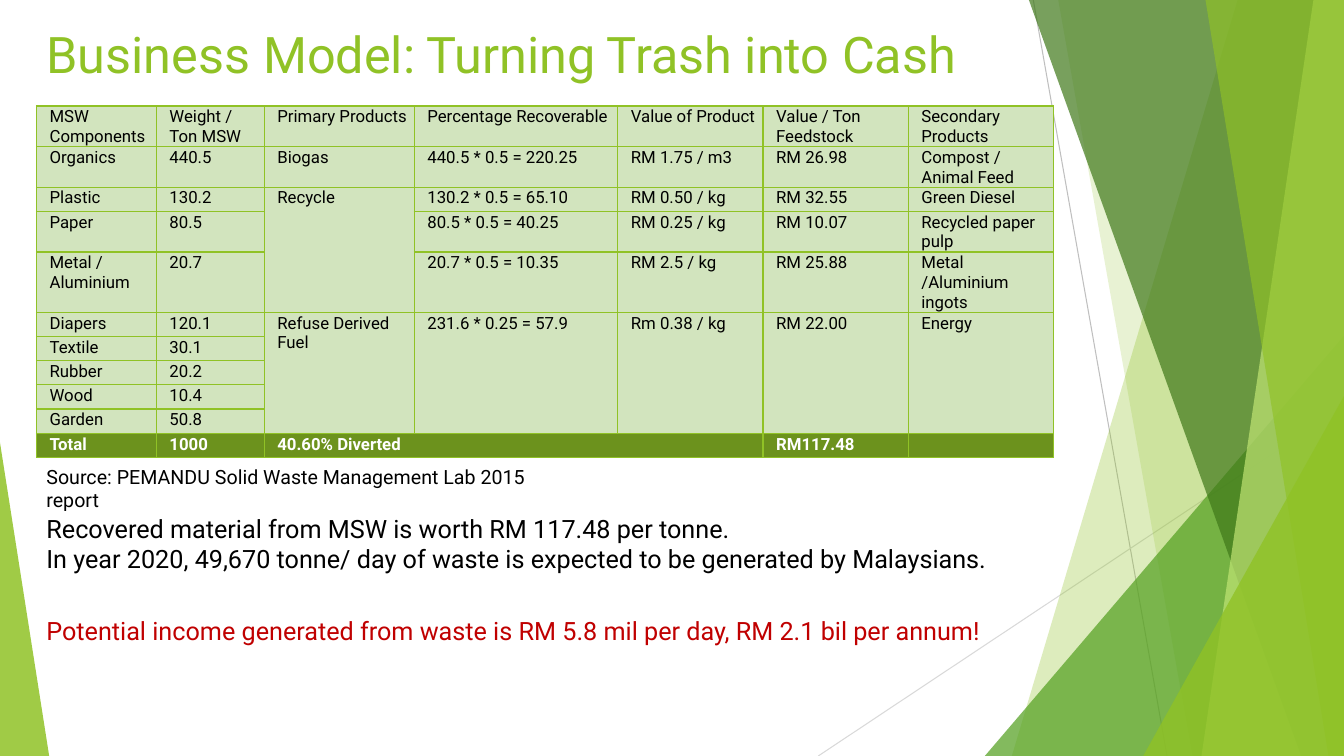
"""Builds the slide on the business model of turning trash into cash."""

from dataclasses import dataclass
from typing import Any

from lxml.etree import SubElement
from pptx import Presentation
from pptx.dml.color import RGBColor as Rgb
from pptx.enum.shapes import MSO_CONNECTOR as Connector, MSO_SHAPE as Preset
from pptx.enum.text import MSO_ANCHOR as Anchor, MSO_AUTO_SIZE as AutoSize, PP_ALIGN as Align
from pptx.oxml.ns import qn
from pptx.util import Cm, Pt

PAGE_WIDTH, PAGE_HEIGHT = 33.87, 19.05


@dataclass(frozen=True)
class Theme:
    font: str = "Roboto"
    green: str = "90C226"
    leaf: str = "54A021"
    forest: str = "3F7819"
    lime: str = "C0E474"
    pale: str = "D2E4BE"
    total: str = "6C921D"
    black: str = "000000"
    white: str = "FFFFFF"
    red: str = "C00000"
    grey: str = "BFBFBF"
    light_grey: str = "D9D9D9"
    title_size: int = 36
    body_size: int = 18
    source_size: int = 14
    table_size: int = 12


THEME = Theme()


@dataclass(frozen=True)
class Ray:
    start: tuple[float, float]
    end: tuple[float, float]
    color: str


@dataclass(frozen=True)
class Facet:
    """A band from a slanted left side to the right edge of the page."""

    top_left: float
    bottom_left: float
    color: str
    opacity: int


@dataclass(frozen=True)
class Peak:
    """A triangle that stands on the bottom edge of the page."""

    left: float
    width: float
    height: float
    apex: float
    color: str
    opacity: int


@dataclass(frozen=True)
class Note:
    top: float
    width: float
    height: float
    lines: tuple[str, ...]
    size: int
    color: str


@dataclass(frozen=True)
class Span:
    first: tuple[int, int]
    last: tuple[int, int]


RAYS = (
    Ray((26.04, 0), (29.41, PAGE_HEIGHT), THEME.grey),
    Ray((PAGE_WIDTH, 10.24), (20.62, PAGE_HEIGHT), THEME.light_grey),
)
DECOR = (
    Facet(31.19, 25.5, THEME.green, 30),
    Facet(26.67, 30.05, THEME.green, 20),
    Peak(24.82, 9.05, 10.59, 1, THEME.leaf, 72),
    Facet(25.93, 32.79, THEME.forest, 70),
    Facet(33.1, 30.28, THEME.lime, 70),
    Facet(30.38, 33.48, THEME.green, 65),
    Peak(28.81, 5.06, 9.07, 1, THEME.green, 80),
    Peak(0, 1.24, 7.9, 0, THEME.green, 85),
)
NOTES = (
    Note(11.58, 13.84, 0.86, ("Source: PEMANDU Solid Waste Management Lab 2015 report",),
         THEME.source_size, THEME.black),
    Note(12.8, 25.37, 2.57,
         ("Recovered material from MSW is worth RM 117.48 per tonne.",
          "In year 2020, 49,670 tonne/ day of waste is expected to be generated by Malaysians."),
         THEME.body_size, THEME.black),
    Note(15.37, 25.37, 1.02,
         ("Potential income generated from waste is RM 5.8 mil per day, RM 2.1 bil per annum!",),
         THEME.body_size, THEME.red),
)
ROWS = (
    ("MSW Components", "Weight / Ton MSW", "Primary Products", "Percentage Recoverable",
     "Value of Product", "Value / Ton Feedstock", "Secondary Products"),
    ("Organics", "440.5", "Biogas", "440.5 * 0.5 = 220.25", "RM 1.75 / m3", "RM 26.98",
     "Compost / Animal Feed"),
    ("Plastic", "130.2", "Recycle", "130.2 * 0.5 = 65.10", "RM 0.50 / kg", "RM 32.55",
     "Green Diesel"),
    ("Paper", "80.5", "", "80.5 * 0.5 = 40.25", "RM 0.25 / kg", "RM 10.07",
     "Recycled paper pulp"),
    ("Metal / Aluminium", "20.7", "", "20.7 * 0.5 = 10.35", "RM 2.5 / kg", "RM 25.88",
     "Metal /Aluminium ingots"),
    ("Diapers", "120.1", "Refuse Derived Fuel", "231.6 * 0.25 = 57.9", "Rm 0.38 / kg",
     "RM 22.00", "Energy"),
    ("Textile", "30.1"),
    ("Rubber", "20.2"),
    ("Wood", "10.4"),
    ("Garden", "50.8"),
    ("Total", "1000", "40.60% Diverted", "", "", "RM117.48"),
)
COLUMN_WIDTHS = (3.02, 2.72, 3.78, 5.13, 3.66, 3.66, 3.66)
ROW_HEIGHTS = (0.89, 0.89, 0.61, 0.89, 1.35) + (0.61,) * 6
SPANS = (Span((2, 2), (4, 2)), Span((10, 2), (10, 4)),
         *(Span((5, column), (9, column)) for column in range(2, 7)))


def assign(target: Any, values: dict[str, Any]) -> None:
    for name, value in values.items():
        setattr(target, name, value)


def write(para: Any, text: str, size: int, color: str, bold: bool = False) -> None:
    span = para.add_run()
    span.text = text
    assign(span.font, {"name": THEME.font, "size": Pt(size), "bold": bold})
    span.font.color.rgb = Rgb.from_string(color)


def draw_ray(page: Any, ray: Ray) -> None:
    line = page.shapes.add_connector(Connector.STRAIGHT, *map(Cm, ray.start + ray.end))
    line.line.width = Pt(0.75)
    line.line.color.rgb = Rgb.from_string(ray.color)
    SubElement(line.element.spPr, qn("a:effectLst"))


def draw_decor(page: Any, item: Facet | Peak) -> None:
    if isinstance(item, Facet):
        outline = page.shapes.build_freeform(Cm(item.top_left), 0)
        corners = ((PAGE_WIDTH, 0), (PAGE_WIDTH, PAGE_HEIGHT), (item.bottom_left, PAGE_HEIGHT))
        outline.add_line_segments([(Cm(x), Cm(y)) for x, y in corners], close=True)
        shape = outline.convert_to_shape()
    else:
        shape = page.shapes.add_shape(Preset.ISOSCELES_TRIANGLE, Cm(item.left),
                                      Cm(PAGE_HEIGHT - item.height), Cm(item.width), Cm(item.height))
        shape.adjustments[0] = item.apex
    shape.shadow.inherit = False
    shape.line.fill.background()
    shape.fill.solid()
    shape.fill.fore_color.rgb = Rgb.from_string(item.color)
    color = shape.element.spPr.find(qn("a:solidFill"))[0]
    SubElement(color, qn("a:alpha"), val=str(item.opacity * 1000))


def add_borders(cell: Any) -> None:
    properties = cell._tc.get_or_add_tcPr()
    for index, side in enumerate(("lnL", "lnR", "lnT", "lnB")):
        border = SubElement(properties, qn(f"a:{side}"), w=str(Pt(1)))
        fill = SubElement(border, qn("a:solidFill"))
        SubElement(fill, qn("a:srgbClr"), val=THEME.green)
        properties.insert(index, border)


def format_cell(cell: Any, text: str, is_total: bool) -> None:
    assign(cell, {"margin_left": Cm(0.03), "margin_right": Cm(0.03), "margin_top": Cm(0.03),
                  "margin_bottom": 0, "vertical_anchor": Anchor.TOP})
    cell.fill.solid()
    cell.fill.fore_color.rgb = Rgb.from_string(THEME.total if is_total else THEME.pale)
    add_borders(cell)
    para = cell.text_frame.paragraphs[0]
    para._p.get_or_add_pPr().set("marL", str(Cm(0.3)))
    if text:
        write(para, text, THEME.table_size, THEME.white if is_total else THEME.black, is_total)
    else:
        SubElement(para._p, qn("a:endParaRPr"), sz=str(THEME.table_size * 100))


def add_waste_table(page: Any) -> None:
    frame = page.shapes.add_table(len(ROWS), len(COLUMN_WIDTHS), Cm(0.92), Cm(2.67),
                                  Cm(sum(COLUMN_WIDTHS)), Cm(sum(ROW_HEIGHTS)))
    table = frame.table
    assign(table, {"first_row": False, "horz_banding": False})
    for column, width in zip(table.columns, COLUMN_WIDTHS):
        column.width = Cm(width)
    for index, (row, height, texts) in enumerate(zip(table.rows, ROW_HEIGHTS, ROWS)):
        row.height = Cm(height)
        for column, cell in enumerate(row.cells):
            text = texts[column] if column < len(texts) else ""
            format_cell(cell, text, index == len(ROWS) - 1)
    for span in SPANS:
        table.cell(*span.first).merge(table.cell(*span.last))


def add_note(page: Any, note: Note) -> None:
    box = page.shapes.add_textbox(Cm(0.92), Cm(note.top), Cm(note.width), Cm(note.height))
    frame = box.text_frame
    frame.word_wrap = True
    for index, text in enumerate(note.lines):
        para = frame.add_paragraph() if index else frame.paragraphs[0]
        write(para, text, note.size, note.color)


def set_title(page: Any, text: str) -> None:
    title = page.shapes.title
    assign(title, {"left": Cm(0.92), "top": Cm(0.3), "width": Cm(23.88), "height": Cm(2.1)})
    assign(title.text_frame, {"word_wrap": True, "auto_size": AutoSize.NONE,
                              "vertical_anchor": Anchor.MIDDLE})
    para = title.text_frame.paragraphs[0]
    para.alignment = Align.LEFT
    write(para, text, THEME.title_size, THEME.green)


def main() -> None:
    deck = Presentation()
    assign(deck, {"slide_width": Cm(PAGE_WIDTH), "slide_height": Cm(PAGE_HEIGHT)})
    page = deck.slides.add_slide(deck.slide_layouts.get_by_name("Title Only"))
    for ray in RAYS:
        draw_ray(page, ray)
    for item in DECOR:
        draw_decor(page, item)
    set_title(page, "Business Model: Turning Trash into Cash")
    add_waste_table(page)
    for note in NOTES:
        add_note(page, note)
    deck.save("out.pptx")


if __name__ == "__main__":
    main()
